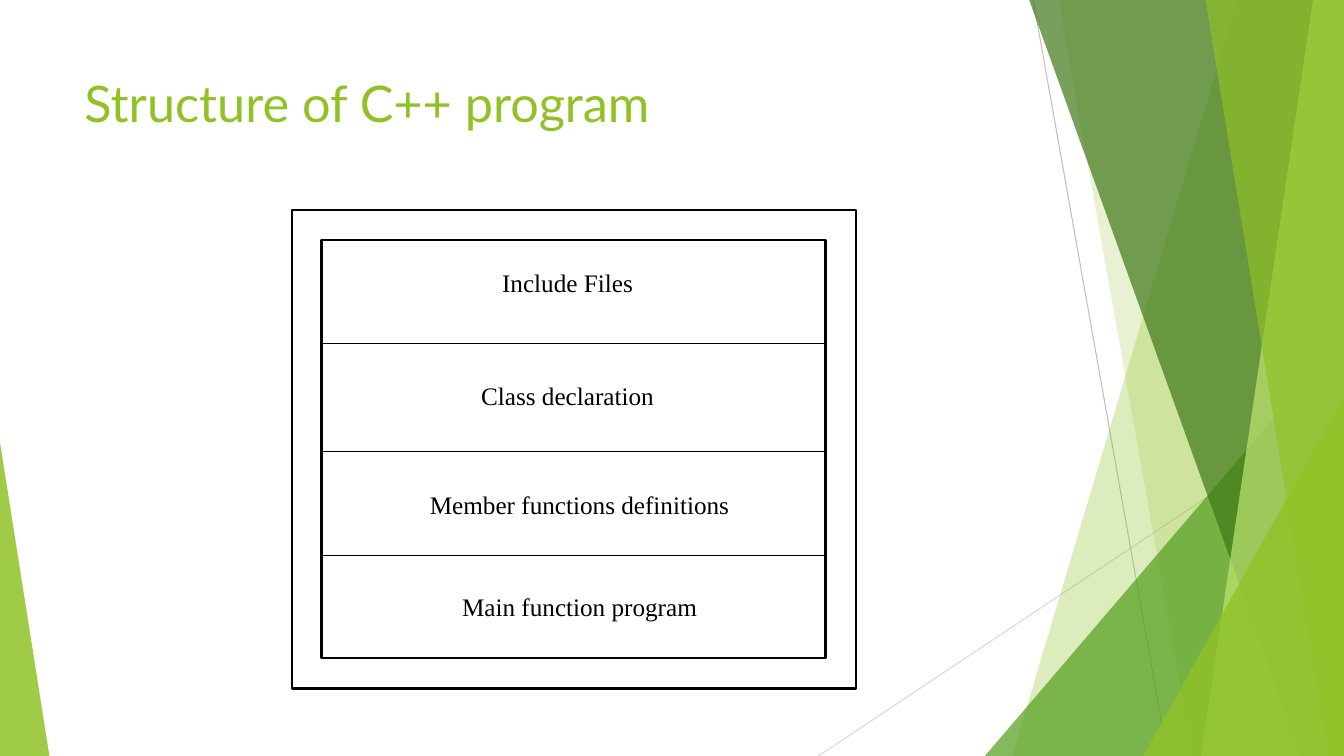
"""Builds a slide that shows the structure of a C++ program as stacked sections."""
from lxml import etree
from pptx import Presentation
from pptx.dml.color import RGBColor
from pptx.enum.shapes import MSO_CONNECTOR, MSO_SHAPE
from pptx.enum.text import MSO_ANCHOR, MSO_AUTO_SIZE, PP_ALIGN
from pptx.oxml.ns import qn
from pptx.util import Pt

WIDTH, HEIGHT = 960, 540
COLORS = {
    "lime": "90C226",
    "green": "54A021",
    "forest": "3F7818",
    "pale": "BFE471",
    "gray": "BFBFBF",
    "silver": "D8D8D8",
    "black": "000000",
}


class Painter:
    def __init__(self, slide):
        self.shapes = slide.shapes
        self.title_font = "Lato"
        self.body_font = "Times New Roman"

    def color(self, name):
        return RGBColor.from_string(COLORS[name])

    def fill(self, sp, color, alpha):
        sp.shadow.inherit = False
        sp.line.fill.background()
        sp.fill.solid()
        sp.fill.fore_color.rgb = self.color(color)
        clr = sp.fill._xPr.find(qn("a:solidFill"))[0]
        etree.SubElement(clr, qn("a:alpha"), val=str(alpha * 1000))

    def line(self, x1, y1, x2, y2, color, width):
        cn = self.shapes.add_connector(
            MSO_CONNECTOR.STRAIGHT, Pt(x1), Pt(y1), Pt(x2), Pt(y2))
        cn.line.color.rgb = self.color(color)
        cn.line.width = Pt(width)
        etree.SubElement(cn._element.spPr, qn("a:effectLst"))

    def facet(self, top_x, bottom_x, color, alpha):
        top = -0.6
        fb = self.shapes.build_freeform(Pt(top_x), Pt(top))
        points = [(WIDTH, top), (WIDTH, HEIGHT), (bottom_x, HEIGHT)]
        fb.add_line_segments([(Pt(x), Pt(y)) for x, y in points], close=True)
        self.fill(fb.convert_to_shape(), color, alpha)

    def triangle(self, x, y, w, apex, color, alpha):
        sp = self.shapes.add_shape(
            MSO_SHAPE.ISOSCELES_TRIANGLE, Pt(x), Pt(y), Pt(w), Pt(HEIGHT - y))
        sp.adjustments[0] = apex
        self.fill(sp, color, alpha)

    def frame(self, x, y, w, h):
        sp = self.shapes.add_shape(MSO_SHAPE.RECTANGLE, Pt(x), Pt(y), Pt(w), Pt(h))
        sp.shadow.inherit = False
        sp.fill.background()
        sp.line.color.rgb = self.color("black")
        sp.line.width = Pt(1.5)

    def text(self, text, x, y, w, h, *, font, size, color,
             align=PP_ALIGN.LEFT, grow=False):
        tf = self.shapes.add_textbox(Pt(x), Pt(y), Pt(w), Pt(h)).text_frame
        tf.word_wrap = True
        tf.vertical_anchor = MSO_ANCHOR.TOP
        tf.auto_size = MSO_AUTO_SIZE.SHAPE_TO_FIT_TEXT if grow else MSO_AUTO_SIZE.NONE
        p = tf.paragraphs[0]
        p.alignment = align
        r = p.add_run()
        r.text = text
        r.font.name = font
        r.font.size = Pt(size)
        r.font.color.rgb = self.color(color)


def draw_backdrop(painter):
    painter.line(738, 0, 834, HEIGHT, "gray", 0.75)
    painter.line(WIDTH, 290, 584.6, HEIGHT, "silver", 0.75)
    painter.facet(884, 723, "lime", 30)
    painter.facet(756, 852, "lime", 20)
    painter.triangle(703.5, 240, 256.5, 1, "green", 72)
    painter.facet(735, 929.5, "forest", 70)
    painter.facet(938, 858, "pale", 70)
    painter.facet(861, 949, "lime", 65)
    painter.triangle(816.5, 283, 143.5, 1, "lime", 80)
    painter.triangle(0, 316, 35.3, 0, "lime", 85)


def draw_program(painter):
    left, width = 229.7, 360
    painter.frame(208.6, 149.8, 402.6, 342)
    painter.frame(left, 171.4, width, 298.8)
    for y in (245.5, 322.4, 396.9):
        painter.line(left, y, left + width, y, "black", 1)
    sections = [
        ("Include Files", left, 187.2),
        ("Class declaration", left, 268),
        ("Member functions definitions", left + 8.6, 346.2),
        ("Main function program", left + 8.6, 418.6),
    ]
    for label, x, y in sections:
        painter.text(label, x, y, 351.4, 29, font=painter.body_font, size=18,
                     color="black", align=PP_ALIGN.CENTER, grow=True)


def main():
    prs = Presentation()
    prs.slide_width, prs.slide_height = Pt(WIDTH), Pt(HEIGHT)
    painter = Painter(prs.slides.add_slide(prs.slide_layouts[6]))
    draw_backdrop(painter)
    painter.text("Structure of C++ program", 53.3, 48, 676.8, 104,
                 font=painter.title_font, size=36, color="lime")
    draw_program(painter)
    prs.save("out.pptx")


if __name__ == "__main__":
    main()
